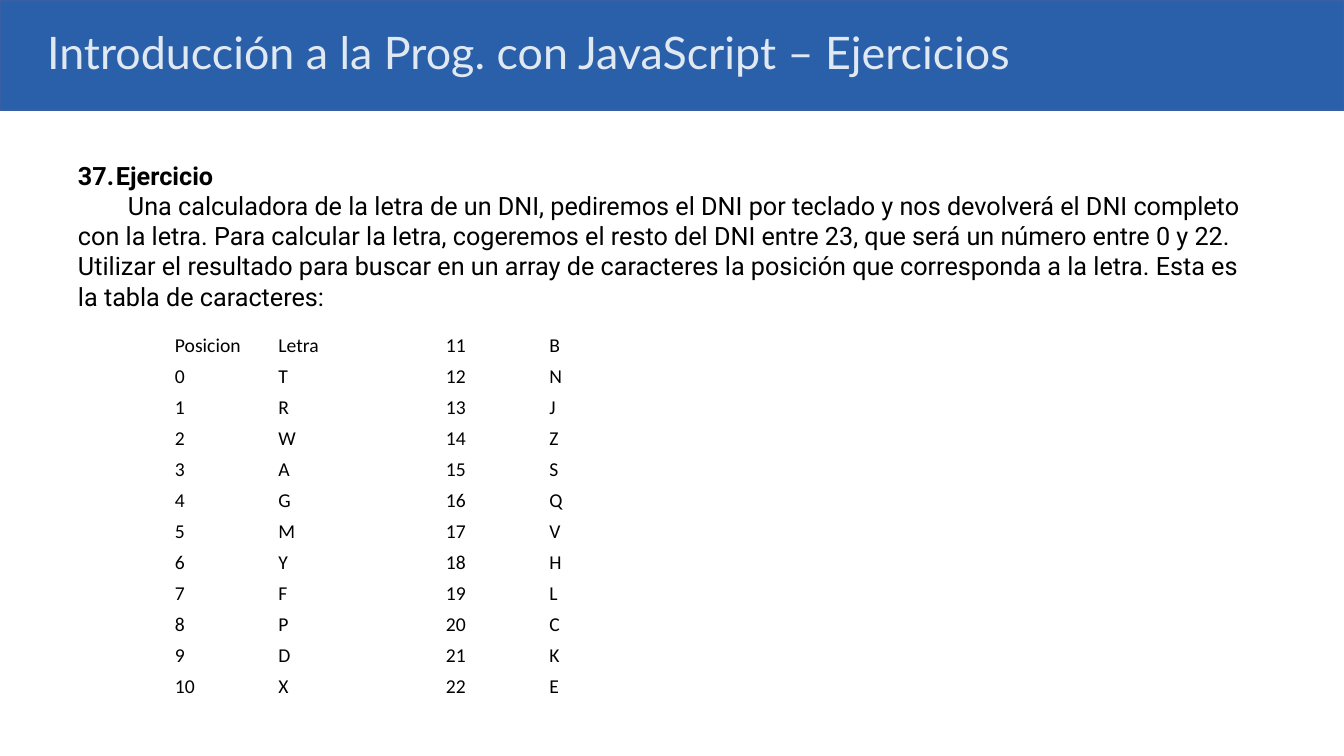
from pptx import Presentation
from pptx import util as u
from pptx.dml.color import RGBColor
from pptx.enum import shapes, text
from pptx.oxml.ns import qn
from lxml import etree

PX = 9144000 / 1008

THEME = {
    "band": RGBColor.from_string("2A60A9"),
    "band_edge": RGBColor.from_string("385FA4"),
    "light": RGBColor.from_string("FFFFFF"),
    "dark": RGBColor.from_string("000000"),
    "title_font": "Lato",
    "body_font": "Roboto",
    "table_font": "Calibri",
    "title_size": 32,
    "body_size": 18,
    "table_size": 14,
    "title_alpha": 85,
}

HEADING = "Ejercicio"
HEADING_NUMBER = 37
STATEMENT = (
    "Una calculadora de la letra de un DNI, pediremos el DNI por teclado y nos "
    "devolverá el DNI completo con la letra. Para calcular la letra, cogeremos el "
    "resto del DNI entre 23, que será un número entre 0 y 22. Utilizar el resultado "
    "para buscar en un array de caracteres la posición que corresponda a la letra. "
    "Esta es la tabla de caracteres:"
)
LETTERS = "TRWAGMYFPDXBNJZSQVHLCKE"
SPLIT = 11


def px(length):
    return u.Emu(round(length * PX))


def set_all(target, values):
    for name, value in values.items():
        setattr(target, name, value)


def place(shape, box):
    set_all(shape, dict(zip(("left", "top", "width", "height"), map(px, box))))


def set_margins(target, horizontal, vertical):
    set_all(target, {
        "margin_left": px(horizontal), "margin_right": px(horizontal),
        "margin_top": px(vertical), "margin_bottom": px(vertical),
    })


def style_font(font, role, color, bold=False):
    set_all(font, {
        "name": THEME[role + "_font"],
        "size": u.Pt(THEME[role + "_size"]),
        "bold": bold,
    })
    font.color.rgb = THEME[color]


def prepare_frame(frame, inset):
    set_margins(frame, inset, inset)
    set_all(frame, {
        "word_wrap": True,
        "auto_size": text.MSO_AUTO_SIZE.NONE,
        "vertical_anchor": text.MSO_ANCHOR.TOP,
    })


def write_paragraph(paragraph, words, role, color, bold=False, spacing=1.0):
    set_all(paragraph, {
        "alignment": text.PP_ALIGN.LEFT,
        "line_spacing": spacing,
        "space_before": u.Pt(0),
        "space_after": u.Pt(0),
    })
    run = paragraph.add_run()
    run.text = words
    style_font(run.font, role, color, bold)
    return run


def set_list_format(paragraph, margin, indent, bullet, **attributes):
    properties = paragraph._p.get_or_add_pPr()
    properties.set("marL", str(px(margin)))
    properties.set("indent", str(px(indent)))
    etree.SubElement(properties, qn(bullet), attributes)


def add_header(slide, box):
    left, top, width, height = box
    title = slide.shapes.title
    band = slide.shapes.add_shape(shapes.MSO_SHAPE.RECTANGLE, *map(px, box))
    band.shadow.inherit = False
    band.fill.solid()
    band.fill.fore_color.rgb = THEME["band"]
    band.line.color.rgb = THEME["band_edge"]
    band.line.width = u.Pt(2)
    title.element.addprevious(band.element)

    place(title, (left + 34, top + 17, 1024, 79))
    prepare_frame(title.text_frame, 13)
    run = write_paragraph(
        title.text_frame.paragraphs[0],
        "Introducción a la Prog. con JavaScript – Ejercicios",
        "title", "light", spacing=0.9,
    )
    color = run.font._element.find(".//" + qn("a:srgbClr"))
    etree.SubElement(color, qn("a:alpha"), val=str(THEME["title_alpha"] * 1000))


def add_exercise(slide, box):
    exercise = slide.placeholders[1]
    place(exercise, box)
    frame = exercise.text_frame
    prepare_frame(frame, 5)
    heading = frame.paragraphs[0]
    write_paragraph(heading, HEADING, "body", "dark", bold=True)
    set_list_format(heading, 38, -38, "a:buAutoNum",
                    type="arabicPeriod", startAt=str(HEADING_NUMBER))
    statement = frame.add_paragraph()
    statement.level = 1
    write_paragraph(statement, STATEMENT, "body", "dark")
    set_list_format(statement, 0, 50, "a:buNone")


def add_letter_table(slide, box, rows):
    frame = slide.shapes.add_table(len(rows), 2, *map(px, box))
    table = frame.table
    set_all(table, {"first_row": False, "horz_banding": False})
    for row, values in zip(table.rows, rows):
        row.height = px(box[3] // len(rows))
        for cell, value in zip(row.cells, values):
            cell.fill.background()
            set_margins(cell, 4, 3)
            cell.vertical_anchor = text.MSO_ANCHOR.MIDDLE
            write_paragraph(cell.text_frame.paragraphs[0], value, "table", "dark")


def main():
    deck = Presentation()
    set_all(deck, {"slide_width": px(1344), "slide_height": px(756)})
    slide = deck.slides.add_slide(deck.slide_layouts[1])
    add_header(slide, (0, 1, 1344, 109))
    add_exercise(slide, (73, 155, 1177, 164))
    positions = [(str(position), letter) for position, letter in enumerate(LETTERS)]
    halves = [("Posicion", "Letra")] + positions[:SPLIT], positions[SPLIT:]
    for index, rows in enumerate(halves):
        add_letter_table(slide, (171 + 271 * index, 330, 207, 372), rows)
    deck.save("out.pptx")


if __name__ == "__main__":
    main()
